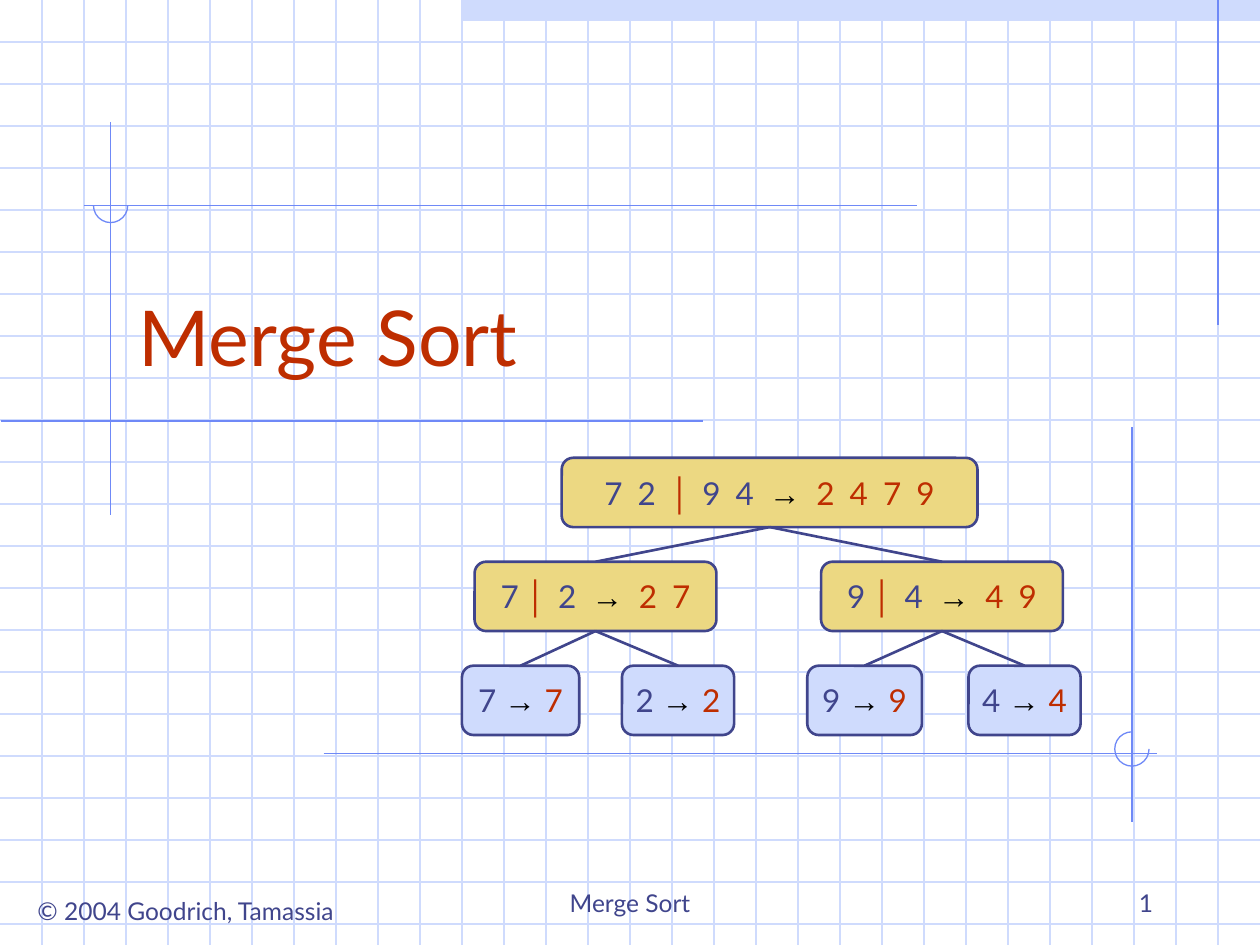
from lxml.etree import SubElement
from pptx import Presentation
from pptx.dml.color import RGBColor
from pptx.enum.shapes import MSO_CONNECTOR, MSO_SHAPE
from pptx.enum.text import MSO_ANCHOR, MSO_AUTO_SIZE, PP_ALIGN
from pptx.oxml.ns import qn
from pptx.util import Pt

COLORS = {
    "grid": "CFDBFD",
    "rule": "6F89F7",
    "ink": "40458C",
    "accent": "BE2D00",
    "arrow": "000000",
    "branch": "ECD882",
    "leaf": "CFDBFD",
}
WIDTH, HEIGHT = 720, 540
GRID_STEP = 24
NODE_HEIGHT, LEVEL_STEP = 39.6, 59.4
LETTER_SPACING = "200"

NODES = [
    (0, 57, 237.6, ("7 2 ", " 9 4 ", "2 4 7 9"), None),
    (1, 7.2, 138.2, ("7 ", " 2 ", "2 7"), 0),
    (1, 205.2, 138.2, ("9 ", " 4 ", "4 9"), 0),
    (2, 0, 67, ("7 ", "", "7"), 1),
    (2, 91.4, 64.1, ("2 ", "", "2"), 1),
    (2, 197.3, 65.5, ("9 ", "", "9"), 2),
    (2, 289.4, 64.1, ("4 ", "", "4"), 2),
]


def color(name):
    return RGBColor.from_string(COLORS[name])


def format_font(font, size, color_name, name="Lato", bold=False):
    font.size = Pt(size)
    font.name = name
    font.bold = bold
    font.color.rgb = color(color_name)


def add_line(slide, x1, y1, x2, y2, color_name, weight=0.75):
    line = slide.shapes.add_connector(
        MSO_CONNECTOR.STRAIGHT, Pt(x1), Pt(y1), Pt(x2), Pt(y2))
    line.line.color.rgb = color(color_name)
    line.line.width = Pt(weight)
    SubElement(line._element.spPr, qn("a:effectLst"))
    return line


def add_shape(slide, kind, left, top, width, height):
    shape = slide.shapes.add_shape(kind, Pt(left), Pt(top), Pt(width), Pt(height))
    shape.shadow.inherit = False
    return shape


def add_grid(slide, left, top, width, height):
    band = add_shape(slide, MSO_SHAPE.RECTANGLE, left + 264, top, width - 264, 12)
    band.fill.solid()
    band.fill.fore_color.rgb = color("grid")
    band.line.fill.background()
    for y in range(top + GRID_STEP, top + height, GRID_STEP):
        add_line(slide, left, y, left + width, y, "grid")
    for x in range(left + GRID_STEP, left + width, GRID_STEP):
        add_line(slide, x, top, x, top + height, "grid")


def add_crosshair(slide, left, top, width, height, x, y, circle_y, angles):
    add_line(slide, left, top + y, left + width, top + y, "rule")
    add_line(slide, left + x, top, left + x, top + height, "rule")
    radius = 9.8
    arc = add_shape(slide, MSO_SHAPE.ARC, left + x - radius,
                    top + circle_y - radius, 2 * radius, 2 * radius)
    arc.adjustments[0], arc.adjustments[1] = angles
    arc.fill.background()
    arc.line.color.rgb = color("rule")
    arc.line.width = Pt(0.75)


def add_title(slide, left, top, width, height):
    title = slide.shapes.title
    title.left, title.top, title.width, title.height = map(
        Pt, (left, top, width, height))
    slide.shapes._spTree.append(title._element)
    text_frame = title.text_frame
    text_frame.text = "Merge Sort"
    text_frame.auto_size = MSO_AUTO_SIZE.NONE
    text_frame.vertical_anchor = MSO_ANCHOR.BOTTOM
    paragraph = text_frame.paragraphs[0]
    paragraph.alignment = PP_ALIGN.LEFT
    format_font(paragraph.runs[0].font, 44, "accent")


def fill_node_text(paragraph, left_part, right_part, result):
    pieces = [(left_part, "ink", "Lato")]
    if right_part:
        pieces += [("│", "accent", "Arial"), (right_part, "ink", "Lato")]
    pieces += [("→ ", "arrow", "Arial"), (result, "accent", "Lato")]
    for index, (text, color_name, font_name) in enumerate(pieces):
        run = paragraph.add_run()
        run.text = text
        format_font(run.font, 18, color_name, font_name, font_name == "Arial")
        if right_part and text != "│" and (index or len(text) > 2):
            run._r.get_or_add_rPr().set("spc", LETTER_SPACING)


def add_merge_tree(slide, left, top):
    nodes = []
    for level, x, width, parts, parent in NODES:
        node = add_shape(slide, MSO_SHAPE.ROUNDED_RECTANGLE, left + x,
                         top + level * LEVEL_STEP, width, NODE_HEIGHT)
        node.fill.solid()
        node.fill.fore_color.rgb = color("leaf" if level == 2 else "branch")
        node.line.color.rgb = color("ink")
        node.line.width = Pt(1.5)
        text_frame = node.text_frame
        text_frame.word_wrap = False
        text_frame.vertical_anchor = MSO_ANCHOR.MIDDLE
        paragraph = text_frame.paragraphs[0]
        paragraph.alignment = PP_ALIGN.CENTER
        fill_node_text(paragraph, *parts)
        nodes.append(node)
        if parent is not None:
            edge = add_line(slide, 0, 0, 0, 0, "ink", 1.5)
            edge.begin_connect(node, 0)
            edge.end_connect(nodes[parent], 2)


def add_footer_text(slide, left, top, width, height, text, alignment, anchor, wrap=True):
    box = slide.shapes.add_textbox(Pt(left), Pt(top), Pt(width), Pt(height))
    text_frame = box.text_frame
    text_frame.text = text
    text_frame.word_wrap = wrap
    text_frame.vertical_anchor = anchor
    paragraph = text_frame.paragraphs[0]
    paragraph.alignment = alignment
    format_font(paragraph.runs[0].font, 14, "ink")


def add_footer(slide, left, top):
    add_footer_text(slide, left + 8.6, top + 16.5, 195.1, 24.5,
                    "© 2004 Goodrich, Tamassia", PP_ALIGN.CENTER, MSO_ANCHOR.TOP, False)
    add_footer_text(slide, left + 246, top, 228, 36,
                    "Merge Sort", PP_ALIGN.CENTER, MSO_ANCHOR.BOTTOM)
    add_footer_text(slide, left + 516, top, 150, 36,
                    "1", PP_ALIGN.RIGHT, MSO_ANCHOR.BOTTOM)


def main():
    presentation = Presentation()
    presentation.slide_width, presentation.slide_height = Pt(WIDTH), Pt(HEIGHT)
    slide = presentation.slides.add_slide(presentation.slide_layouts[5])
    add_grid(slide, 0, 0, WIDTH, HEIGHT)
    add_line(slide, 696, 0, 696, 186, "rule")
    add_line(slide, 0.5, 240.5, 402, 240.5, "rule")
    add_crosshair(slide, 48, 70, 476, 224.5, 15.2, 47.4, 47.4, (-54, 108))
    add_crosshair(slide, 185, 244, 476, 226, 461.8, 186.4, 184, (0, 162))
    add_title(slide, 72, 132, 612, 90)
    add_merge_tree(slide, 264, 261.6)
    add_footer(slide, 0, 492)
    presentation.save("out.pptx")


if __name__ == "__main__":
    main()
